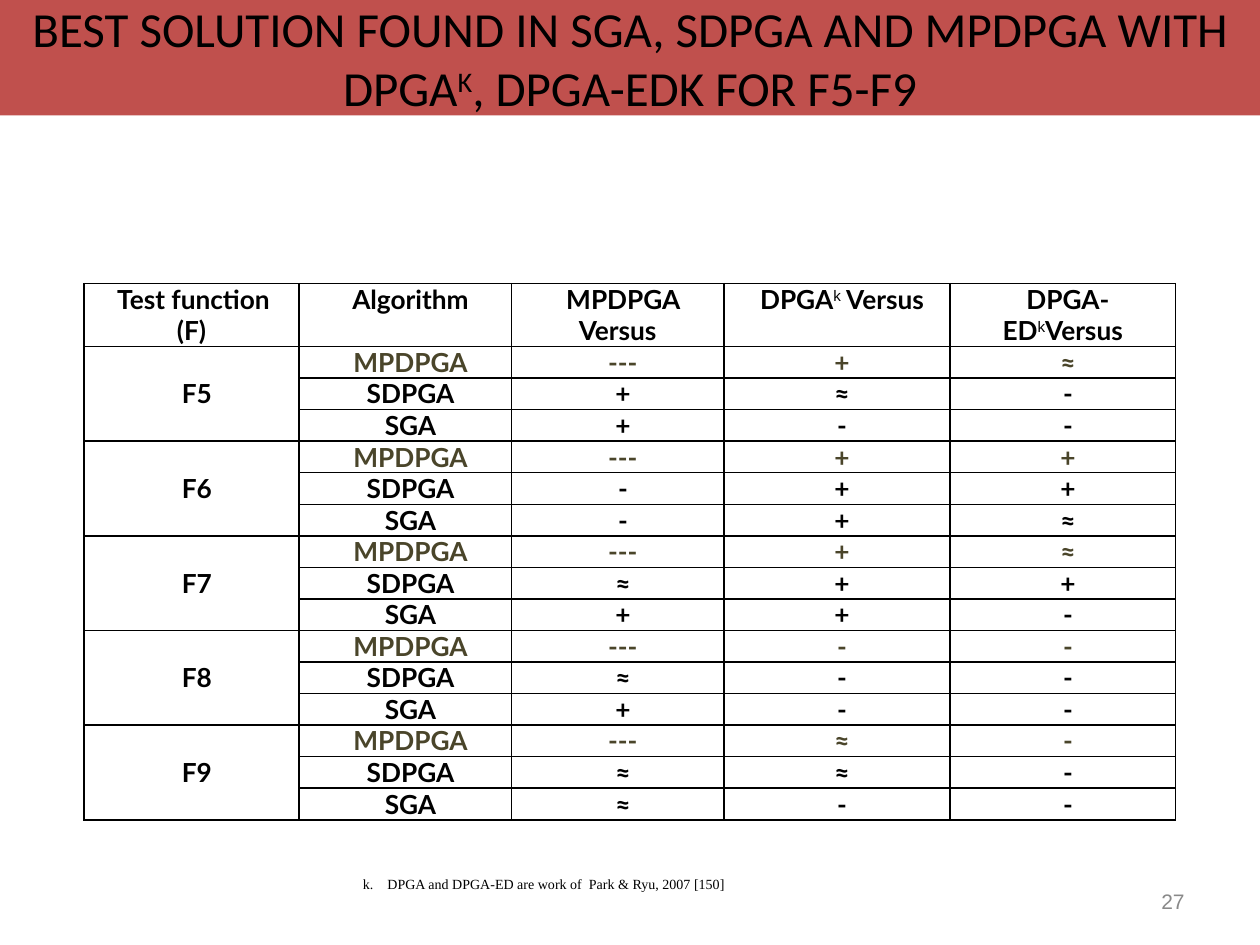
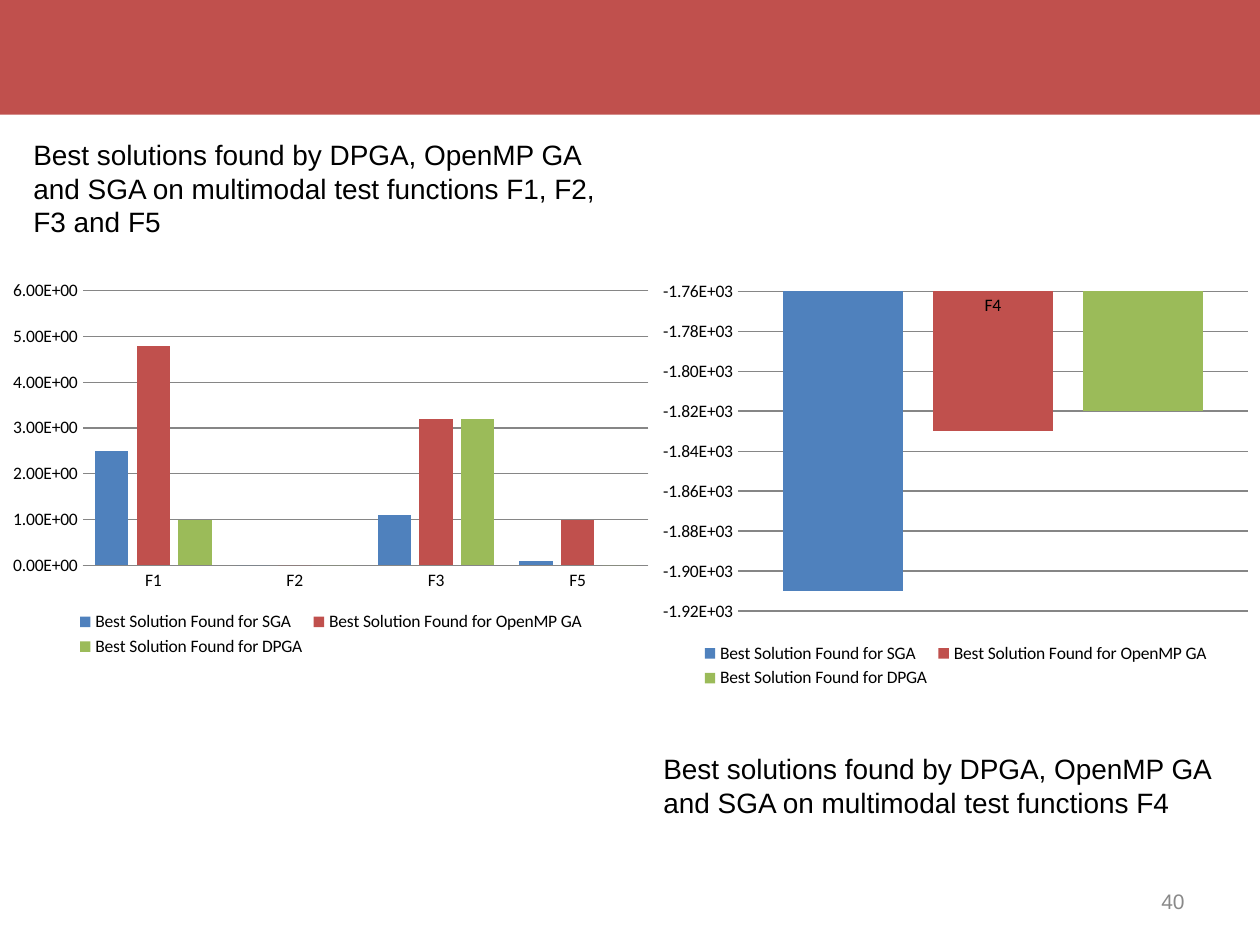
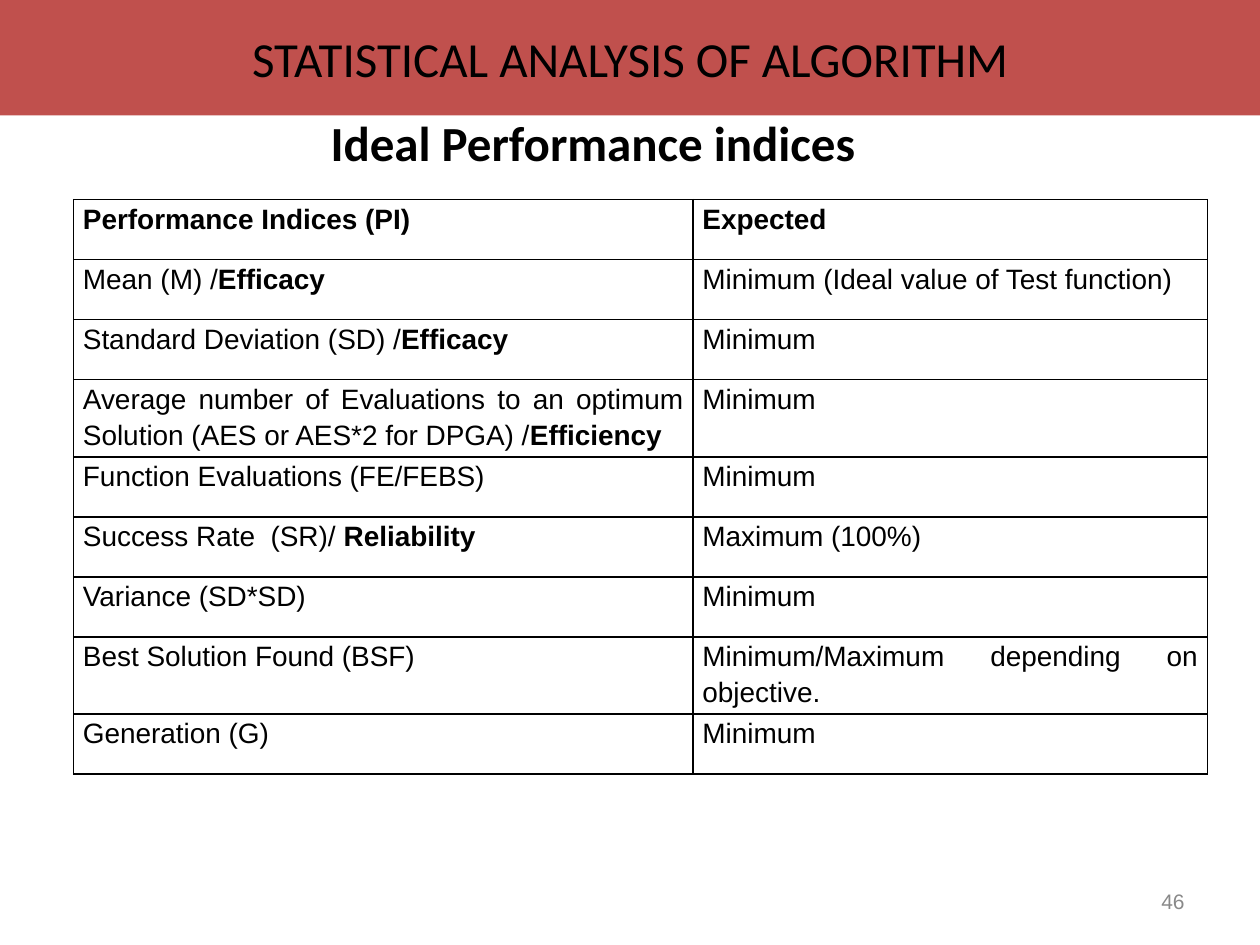
from lxml import etree
from pptx import Presentation
from pptx.chart.data import CategoryChartData
from pptx.dml.color import RGBColor
from pptx.enum import chart as kinds, shapes, text
from pptx.oxml.ns import qn
from pptx.util import Pt

RED, BLUE, GREEN = "C0504D", "4F81BD", "9BBB59"
BLACK, GREY, OLIVE, RULE = "000000", "898989", "4A452A", "868686"
LEFT, MID, RIGHT, FULL = (
    text.PP_ALIGN.LEFT, text.PP_ALIGN.CENTER, text.PP_ALIGN.RIGHT, text.PP_ALIGN.JUSTIFY)
CENTRE = text.MSO_ANCHOR.MIDDLE

SUPER = {"font": "Arial", "bold": False, "base": 30}
BOLD = {"bold": True}
NAMES = ["MPDPGA", "SDPGA", "SGA"]
# Marks per function: one string of three columns for each algorithm
MARKS = {
    "F5": ["--- + ≈", "+ ≈ -", "+ - -"],
    "F6": ["--- + +", "- + +", "- + ≈"],
    "F7": ["--- + ≈", "≈ + +", "+ + -"],
    "F8": ["--- - -", "≈ - -", "+ - -"],
    "F9": ["--- ≈ -", "≈ ≈ -", "≈ - -"],
}
INDICES = [
    (["Mean (M) /", ("Efficacy", BOLD)], "Minimum (Ideal value of Test function)"),
    (["Standard Deviation (SD) /", ("Efficacy", BOLD)], "Minimum"),
    (["Average number of Evaluations to an optimum Solution (AES or AES*2 for DPGA) /",
      ("Efficiency", BOLD)], "Minimum"),
    (["Function Evaluations (FE/FEBS)"], "Minimum"),
    (["Success Rate  (SR)/", (" Reliability", BOLD)], "Maximum (100%)"),
    (["Variance (SD*SD)"], "Minimum"),
    (["Best Solution Found (BSF)"], "Minimum/Maximum depending on objective."),
    (["Generation (G)"], "Minimum"),
]
SERIES = [("SGA", BLUE), ("OpenMP GA", RED), ("DPGA", GREEN)]


def paint(target, colour):
    """Give a fill or a line format one solid colour."""
    fill = getattr(target, "fill", target)
    fill.solid()
    fill.fore_color.rgb = RGBColor.from_string(colour)


def write(frame, parts, align=LEFT, anchor=None, indent=0, margin=0,
          lines=None, after=None, **style):
    """Fill one paragraph; a part is a string or a (string, style changes) pair."""
    frame.word_wrap = True
    if anchor is not None:
        frame.vertical_anchor = anchor
    para = frame.paragraphs[0]
    para.alignment = align
    if lines:
        para.line_spacing = lines
    if after:
        para.space_after = Pt(after)
    props = para._p.get_or_add_pPr()
    props.set("marL", str(Pt(margin)))
    props.set("indent", str(Pt(indent)))
    for part in [parts] if isinstance(parts, str) else parts:
        words, change = (part, {}) if isinstance(part, str) else part
        look = {"font": "Arial", "size": 16, "colour": BLACK, "bold": False,
                "base": 0, **style, **change}
        run = para.add_run()
        run.text = words
        run.font.name = look["font"]
        run.font.size = Pt(look["size"])
        run.font.bold = look["bold"]
        run.font.color.rgb = RGBColor.from_string(look["colour"])
        if look["base"]:
            run._r.get_or_add_rPr().set("baseline", str(look["base"] * 1000))


def label(slide, words, box, **style):
    shape = slide.shapes.add_textbox(*map(Pt, box))
    write(shape.text_frame, words, **style)


def band(slide, words="", height=66):
    """Draw the red strip at the top with the slide's heading."""
    bar = slide.shapes.add_shape(
        shapes.MSO_SHAPE.RECTANGLE, 0, 0, Pt(720), Pt(height))
    bar.shadow.inherit = False
    paint(bar, RED)
    bar.line.fill.background()
    if words:
        write(bar.text_frame, words, align=MID, anchor=CENTRE, font="Calibri", size=28)


def number(slide, page):
    label(slide, str(page), (516, 500.4, 168, 28.8), align=RIGHT, anchor=CENTRE,
          size=12, colour=GREY)


def edge(cell):
    """Rule all four sides of a cell in black."""
    props = cell._tc.get_or_add_tcPr()
    for spot, side in enumerate("LRTB"):
        line = etree.Element(qn(f"a:ln{side}"), w=str(Pt(1)))
        fill = etree.SubElement(line, qn("a:solidFill"))
        etree.SubElement(fill, qn("a:srgbClr"), val=BLACK)
        props.insert(spot, line)


def grid(slide, spot, cols, rows, pad=(5.4, 0), ruled=True):
    """Add a plain table; pad is the side and the top margin of each cell."""
    frame = slide.shapes.add_table(
        len(rows), len(cols), *map(Pt, (*spot, sum(cols), sum(rows))))
    table = frame.table
    table.first_row = table.horz_banding = False
    for col, width in zip(table.columns, cols):
        col.width = Pt(width)
    for row, height in zip(table.rows, rows):
        row.height = Pt(height)
    for cell in table.iter_cells():
        cell.margin_left = cell.margin_right = Pt(pad[0])
        cell.margin_top = cell.margin_bottom = Pt(pad[1])
        cell.fill.background()
        if ruled:
            edge(cell)
    return table


def bars(slide, box, cats, values, scale, step):
    """Add a clustered column chart with one series per algorithm."""
    data = CategoryChartData(number_format="0.00E+00")
    data.categories = cats
    for (name, _), nums in zip(SERIES, values):
        data.add_series(f"Best Solution Found for {name}", nums)
    chart = slide.shapes.add_chart(
        kinds.XL_CHART_TYPE.COLUMN_CLUSTERED, *map(Pt, box), data).chart
    chart.has_title = False
    chart.font.name = "Calibri"
    chart.font.size = Pt(10)
    chart.font.color.rgb = RGBColor.from_string(BLACK)
    chart.has_legend = True
    chart.legend.position = kinds.XL_LEGEND_POSITION.BOTTOM
    chart.legend.include_in_layout = False

    plot = chart.plots[0]
    plot.gap_width, plot.overlap = 75, -25
    plot.vary_by_categories = False
    for series, (_, colour) in zip(plot.series, SERIES):
        paint(series.format, colour)
        series.invert_if_negative = False

    side = chart.value_axis
    side.minimum_scale, side.maximum_scale = scale
    side.major_unit = step
    side.tick_labels.number_format = "0.00E+00"
    side.tick_labels.number_format_is_linked = False
    side.format.line.fill.background()
    for axis in (side, chart.category_axis):
        axis.major_tick_mark = axis.minor_tick_mark = kinds.XL_TICK_MARK.NONE
    for line in (side.major_gridlines.format.line, chart.category_axis.format.line):
        paint(line, RULE)
        line.width = Pt(0.75)


def versus(slide):
    band(slide, ["BEST SOLUTION FOUND IN SGA, SDPGA AND MPDPGA WITH DPGA",
                 ("K", {"base": 30}), ", DPGA-EDK FOR F5-F9"])
    heads = ["Test function  (F)", "Algorithm", "MPDPGA Versus",
             ["DPGA", ("k", SUPER), " Versus"], ["DPGA-ED", ("k", SUPER), "Versus"]]
    table = grid(slide, (48, 162), [122.9, 121.4, 121.4, 129.1, 129.1],
                 [36] + [18] * 15)
    rows = [heads]
    for test, marks in MARKS.items():
        for name, signs in zip(NAMES, marks):
            first = test if name == NAMES[0] else ""
            rows.append([first, name, *signs.split()])
    for r, row in enumerate(rows):
        for c, words in enumerate(row):
            lead = c > 0 and row[1] == NAMES[0]
            write(table.cell(r, c).text_frame, words, align=MID, indent=6, font="Lato",
                  size=15, bold=True, colour=OLIVE if lead else BLACK)
    for top in range(1, len(rows), len(NAMES)):
        table.cell(top, 0).merge(table.cell(top + len(NAMES) - 1, 0))
        table.cell(top, 0).vertical_anchor = CENTRE
    note = grid(slide, (198, 492), [480], [28], pad=(9.4, 9), ruled=False)
    write(note.cell(0, 0).text_frame,
          "k.\tDPGA and DPGA-ED are work of  Park & Ryu, 2007 [150]",
          margin=14, indent=-14, after=2, font="Times New Roman", size=8)
    number(slide, 27)


def solutions(slide):
    bars(slide, (0, 156, 378, 222), ["F1", "F2", "F3", "F5"],
         [(2.5, 0, 1.1, 0.1), (4.8, 0, 3.2, 1), (1, 0, 3.2, 0)], (0, 6), 1)
    bars(slide, (372, 156, 348, 240), ["F4"],
         [(-1910,), (-1830,), (-1820,)], (-1920, -1760), 20)
    lead = "Best solutions found by DPGA, OpenMP GA and SGA on multimodal test functions "
    label(slide, lead + "F1, F2, F3 and F5", (12, 75, 348, 65.5))
    label(slide, lead + "F4", (372, 426, 348, 46))
    number(slide, 40)
    band(slide, height=65.5)


def indices(slide):
    number(slide, 46)
    label(slide, "Ideal Performance indices", (0, 48, 677.5, 66), align=MID,
          anchor=CENTRE, font="Calibri", size=28, bold=True)
    tall = (3, 7)
    heights = [42.5 if r in tall else 34.3 for r in range(len(INDICES) + 1)]
    table = grid(slide, (42, 114), [354, 294], heights)
    rows = [("Performance Indices (PI)", "Expected"), *INDICES]
    for r, row in enumerate(rows):
        for c, words in enumerate(row):
            write(table.cell(r, c).text_frame, words, align=FULL, lines=1.15, after=10,
                  bold=r == 0)
    band(slide, "STATISTICAL ANALYSIS OF ALGORITHM")


def main():
    deck = Presentation()
    deck.slide_width, deck.slide_height = Pt(720), Pt(540)
    for build in (versus, solutions, indices):
        build(deck.slides.add_slide(deck.slide_layouts[6]))
    deck.save("out.pptx")


if __name__ == "__main__":
    main()
